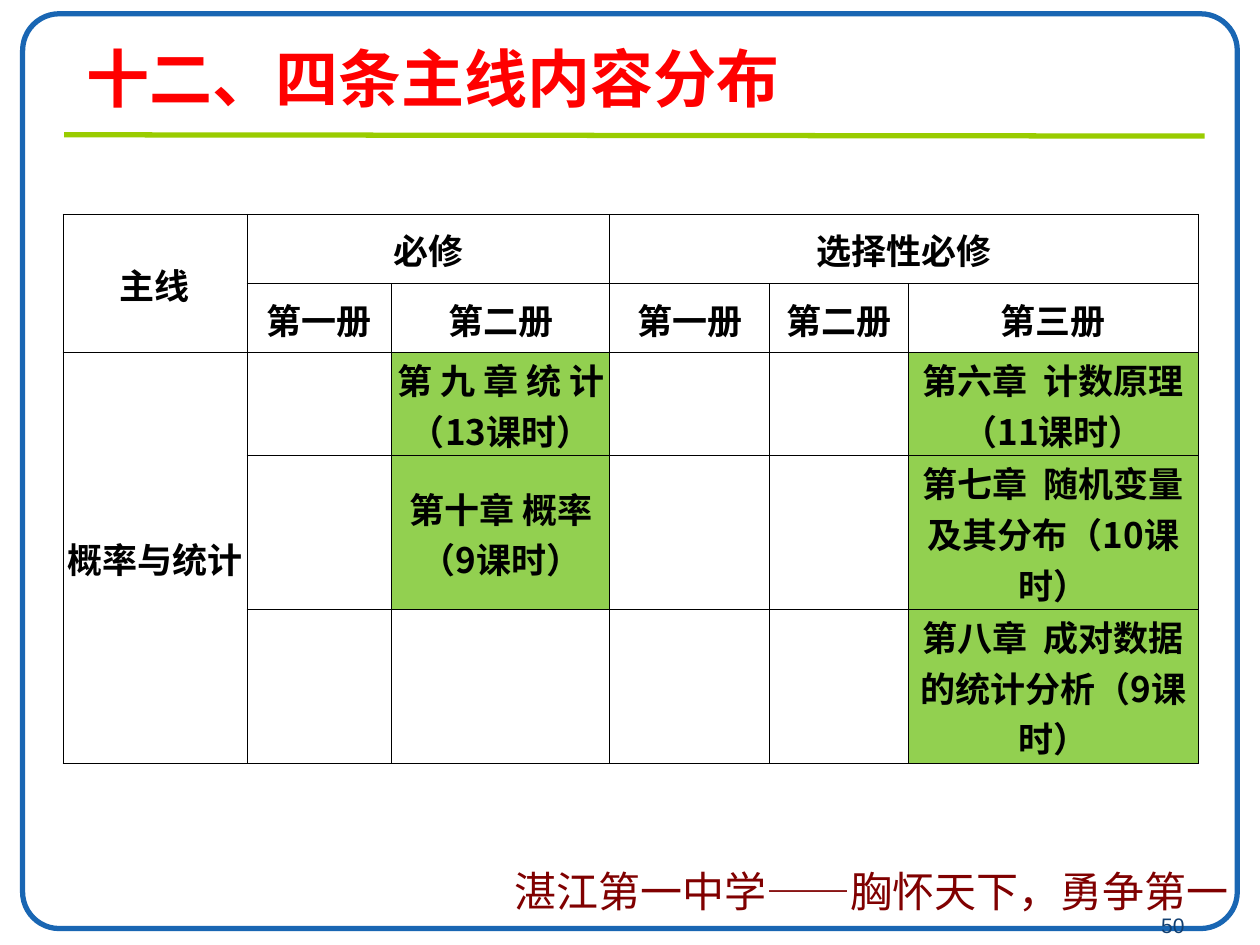
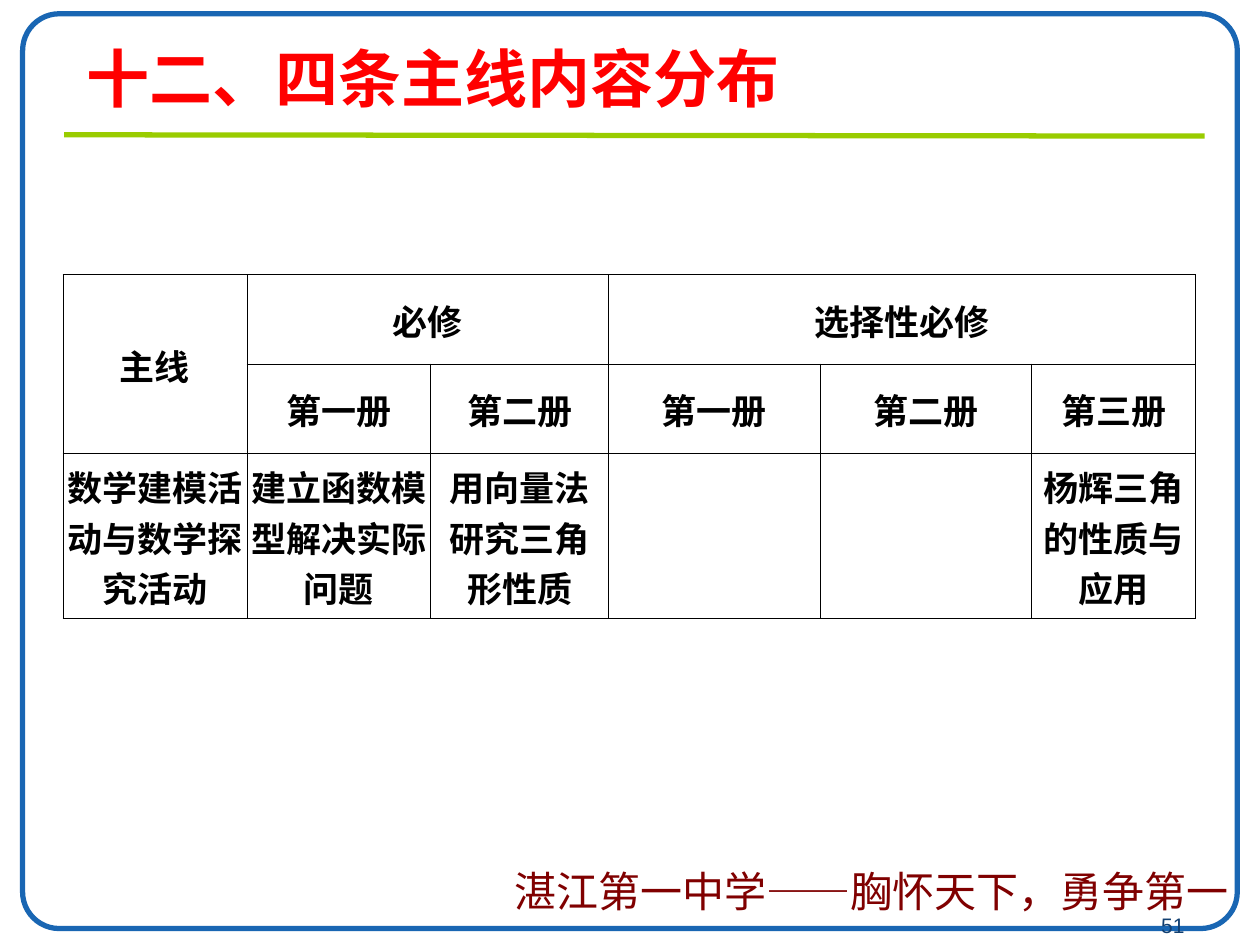
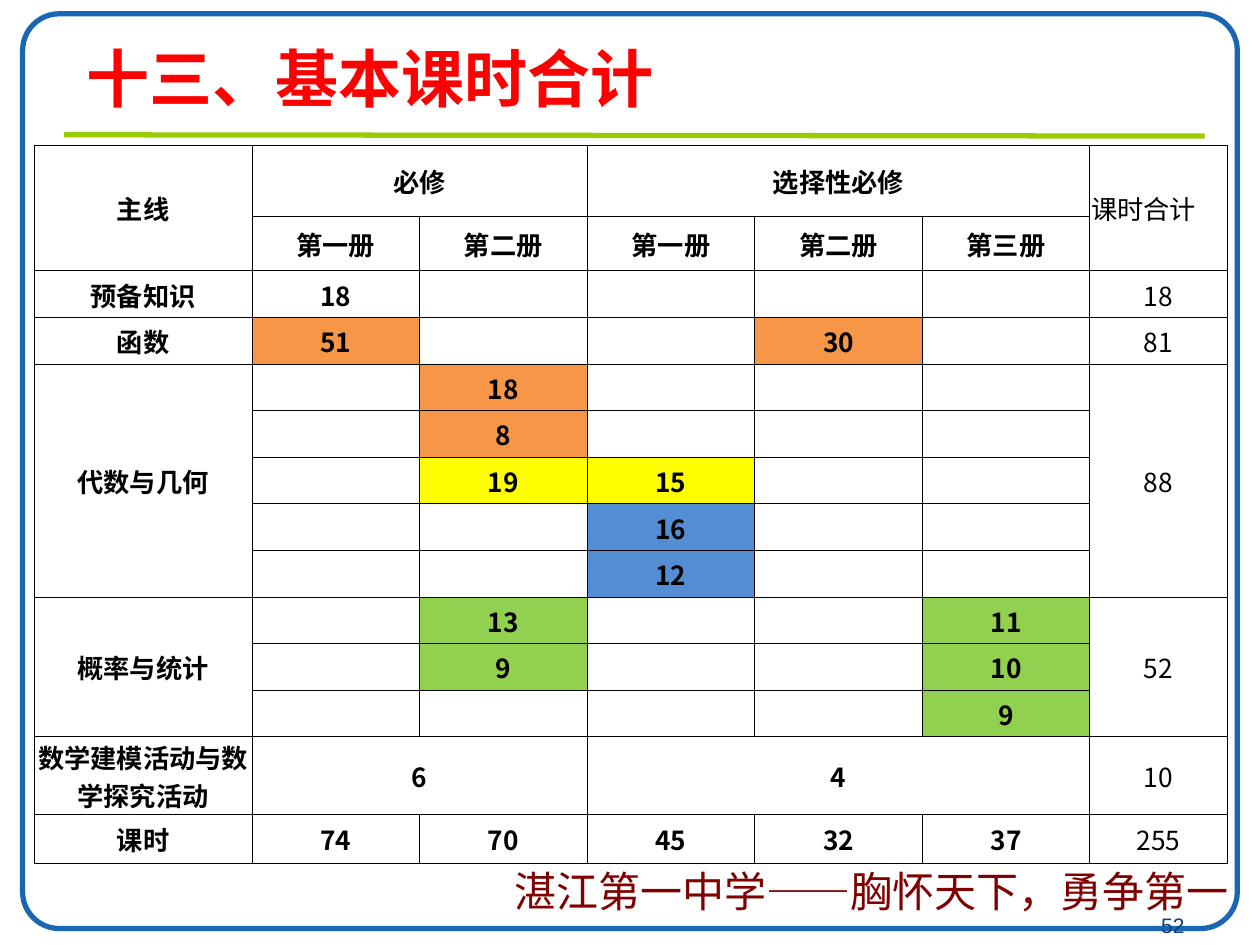
import pptx
import pptx.util
import pptx.dml.color
import pptx.enum.shapes
import pptx.enum.text
import pptx.oxml
import pptx.oxml.ns
import lxml.etree

RGB = pptx.dml.color.RGBColor
ALIGN = pptx.enum.text.PP_ALIGN
MIDDLE = pptx.enum.text.MSO_ANCHOR.MIDDLE
Inches = pptx.util.Inches

FRAME_BLUE = RGB(0x19, 0x66, 0xB3)
RULE_GREEN = RGB(0x99, 0xCC, 0x00)
MOTTO_MAROON = RGB(0x80, 0x00, 0x00)
TITLE_RED = RGB(0xFF, 0x00, 0x00)
PAGE_NAVY = RGB(0x11, 0x3F, 0x71)
BLACK = RGB(0x00, 0x00, 0x00)
GREEN = RGB(0x92, 0xD0, 0x50)
ORANGE = RGB(0xF7, 0x96, 0x46)
YELLOW = RGB(0xFF, 0xFF, 0x00)
BLUE = RGB(0x53, 0x8E, 0xD5)

LATIN, CHINESE = "Arial", "Noto Sans CJK SC"
SLIDE_WIDTH, SLIDE_HEIGHT = 10, 7.5
FIRST_PAGE = 50
LEFT, UP = "<", "^"

MOTTO = [("湛江第一中学", LATIN), ("——", CHINESE), ("胸怀天下，勇争第一", LATIN)]
VOLUMES = [
    ["主线", "必修", LEFT, "选择性必修", LEFT, LEFT],
    [UP, "第一册", "第二册", "第一册", "第二册", "第三册"],
]

SLIDES = [
    {
        "title": "十二、四条主线内容分布",
        "corner": (0.5, 1.7),
        "columns": [1.46, 1.15, 1.73, 1.27, 1.1, 2.3],
        "rows": [0.55, 0.55, 0.78, 1.01, 1.01],
        "size": 20,
        "cells": VOLUMES + [
            ["概率与统计", "", ("第 九 章 统 计（13课时）", GREEN), "", "",
             ("第六章  计数原理（11课时）", GREEN)],
            [UP, "", ("第十章 概率（9课时）", GREEN), "", "",
             ("第七章  随机变量及其分布（10课时）", GREEN)],
            [UP, "", "", "", "", ("第八章  成对数据的统计分析（9课时）", GREEN)],
        ],
    },
    {
        "title": "十二、四条主线内容分布",
        "corner": (0.5, 2.18),
        "columns": [1.46, 1.46, 1.41, 1.68, 1.68, 1.3],
        "rows": [0.71, 0.71, 1.31],
        "size": 20,
        "cells": VOLUMES + [
            ["数学建模活动与数学探究活动", "建立函数模型解决实际问题",
             "用向量法研究三角形性质", "", "", "杨辉三角的性质与应用"],
        ],
    },
    {
        "title": "十三、基本课时合计",
        "corner": (0.27, 1.15),
        "columns": [1.73] + [1.33] * 5 + [1.09],
        "rows": [0.57, 0.43] + [0.37] * 10 + [0.53, 0.39],
        "size": 15,
        "total_column": 6,
        "cells": [
            VOLUMES[0] + ["课时合计"],
            VOLUMES[1] + [UP],
            ["预备知识", "18", "", "", "", "", "18"],
            ["函数", ("51", ORANGE), "", "", ("30", ORANGE), "", "81"],
            ["代数与几何", "", ("18", ORANGE), "", "", "", "88"],
            [UP, "", ("8", ORANGE), "", "", "", UP],
            [UP, "", ("19", YELLOW), ("15", YELLOW), "", "", UP],
            [UP, "", "", ("16", BLUE), "", "", UP],
            [UP, "", "", ("12", BLUE), "", "", UP],
            ["概率与统计", "", ("13", GREEN), "", "", ("11", GREEN), "52"],
            [UP, "", ("9", GREEN), "", "", ("10", GREEN), UP],
            [UP, "", "", "", "", ("9", GREEN), UP],
            ["数学建模活动与数学探究活动", "6", LEFT, "4", LEFT, LEFT, "10"],
            ["课时", "74", "70", "45", "32", "37", "255"],
        ],
    },
]


def box(*lengths):
    return [Inches(length) for length in lengths]


def write(paragraph, text, size, color, name=LATIN, bold=False):
    run = paragraph.add_run()
    run.text = text
    style = {"size": pptx.util.Pt(size), "bold": bold, "name": name}
    for attribute, value in style.items():
        setattr(run.font, attribute, value)
    run.font.color.rgb = color
    properties = run.font._element
    properties.set("lang", "zh-CN")
    east_asian = lxml.etree.SubElement(properties, pptx.oxml.ns.qn("a:ea"))
    east_asian.set("typeface", CHINESE)


def draw_frame(slide):
    frame = slide.shapes.add_shape(
        pptx.enum.shapes.MSO_SHAPE.ROUNDED_RECTANGLE, *box(0.18, 0.11, 9.64, 7.26))
    frame.adjustments[0] = 0.04
    frame.shadow.inherit = False
    frame.fill.background()
    rule = slide.shapes.add_connector(
        pptx.enum.shapes.MSO_CONNECTOR.STRAIGHT, *box(0.51, 1.07, 9.56, 1.08))
    lxml.etree.SubElement(rule._element.spPr, pptx.oxml.ns.qn("a:effectLst"))
    for outlined, color in ((frame, FRAME_BLUE), (rule, RULE_GREEN)):
        outlined.line.color.rgb = color
        outlined.line.width = pptx.util.Pt(3)


def draw_footer(slide, page):
    motto = slide.shapes.add_textbox(*box(3.98, 6.82, 5.87, 0.5)).text_frame
    motto.word_wrap = False
    motto.paragraphs[0].alignment = ALIGN.CENTER
    for text, name in MOTTO:
        write(motto.paragraphs[0], text, 24, MOTTO_MAROON, name)
    number = slide.shapes.add_textbox(*box(7.17, 7.19, 2.33, 0.27)).text_frame
    number.word_wrap = True
    number.paragraphs[0].alignment = ALIGN.RIGHT
    write(number.paragraphs[0], str(page), 12, PAGE_NAVY)


def place_title(slide, text):
    title = slide.shapes.title
    title.left, title.top, title.width, title.height = box(0.59, 0.24, 8.92, 0.75)
    heading = title.text_frame
    heading.auto_size = pptx.enum.text.MSO_AUTO_SIZE.NONE
    heading.vertical_anchor = MIDDLE
    heading.paragraphs[0].alignment = ALIGN.LEFT
    write(heading.paragraphs[0], text, 36, TITLE_RED, bold=True)


def format_cell(cell, fill):
    margins = {"margin_left": 0.01, "margin_right": 0.01, "margin_top": 0.01, "margin_bottom": 0}
    for attribute, value in margins.items():
        setattr(cell, attribute, Inches(value))
    cell.vertical_anchor = MIDDLE
    for side in ("lnL", "lnR", "lnT", "lnB"):
        cell._tc.get_or_add_tcPr().append(pptx.oxml.parse_xml(
            f'<a:{side} {pptx.oxml.ns.nsdecls("a")} w="6350"><a:solidFill>'
            f'<a:srgbClr val="{BLACK}"/></a:solidFill></a:{side}>'))
    if fill is None:
        cell.fill.background()
    else:
        cell.fill.solid()
        cell.fill.fore_color.rgb = fill


def span_end(cells, row, column):
    bottom, right = row, column
    while bottom + 1 < len(cells) and cells[bottom + 1][column] == UP:
        bottom += 1
    while right + 1 < len(cells[row]) and cells[row][right + 1] == LEFT:
        right += 1
    return bottom, right


def draw_table(slide, content):
    cells, columns, rows = content["cells"], content["columns"], content["rows"]
    table = slide.shapes.add_table(
        len(rows), len(columns), *box(*content["corner"], sum(columns), sum(rows))).table
    table.first_row = table.horz_banding = False
    for column, width in zip(table.columns, columns):
        column.width = Inches(width)
    for row, height in zip(table.rows, rows):
        row.height = Inches(height)
    for r, line in enumerate(cells):
        for c, entry in enumerate(line):
            text, fill = entry if isinstance(entry, tuple) else (entry, None)
            cell = table.cell(r, c)
            format_cell(cell, fill)
            paragraph = cell.text_frame.paragraphs[0]
            if text in ("", LEFT, UP):
                lxml.etree.SubElement(
                    paragraph._p, pptx.oxml.ns.qn("a:endParaRPr")).set("sz", "1200")
                continue
            is_total = c == content.get("total_column")
            is_total_heading = is_total and r == 0
            paragraph.alignment = ALIGN.LEFT if is_total_heading else ALIGN.CENTER
            write(paragraph, text, content["size"], BLACK, CHINESE, not is_total)
            end = span_end(cells, r, c)
            if end != (r, c):
                cell.merge(table.cell(*end))


def main():
    deck = pptx.Presentation()
    deck.slide_width, deck.slide_height = box(SLIDE_WIDTH, SLIDE_HEIGHT)
    for page, content in enumerate(SLIDES, FIRST_PAGE):
        slide = deck.slides.add_slide(deck.slide_layouts[5])
        draw_frame(slide)
        place_title(slide, content["title"])
        draw_table(slide, content)
        draw_footer(slide, page)
    deck.save("out.pptx")


if __name__ == "__main__":
    main()
